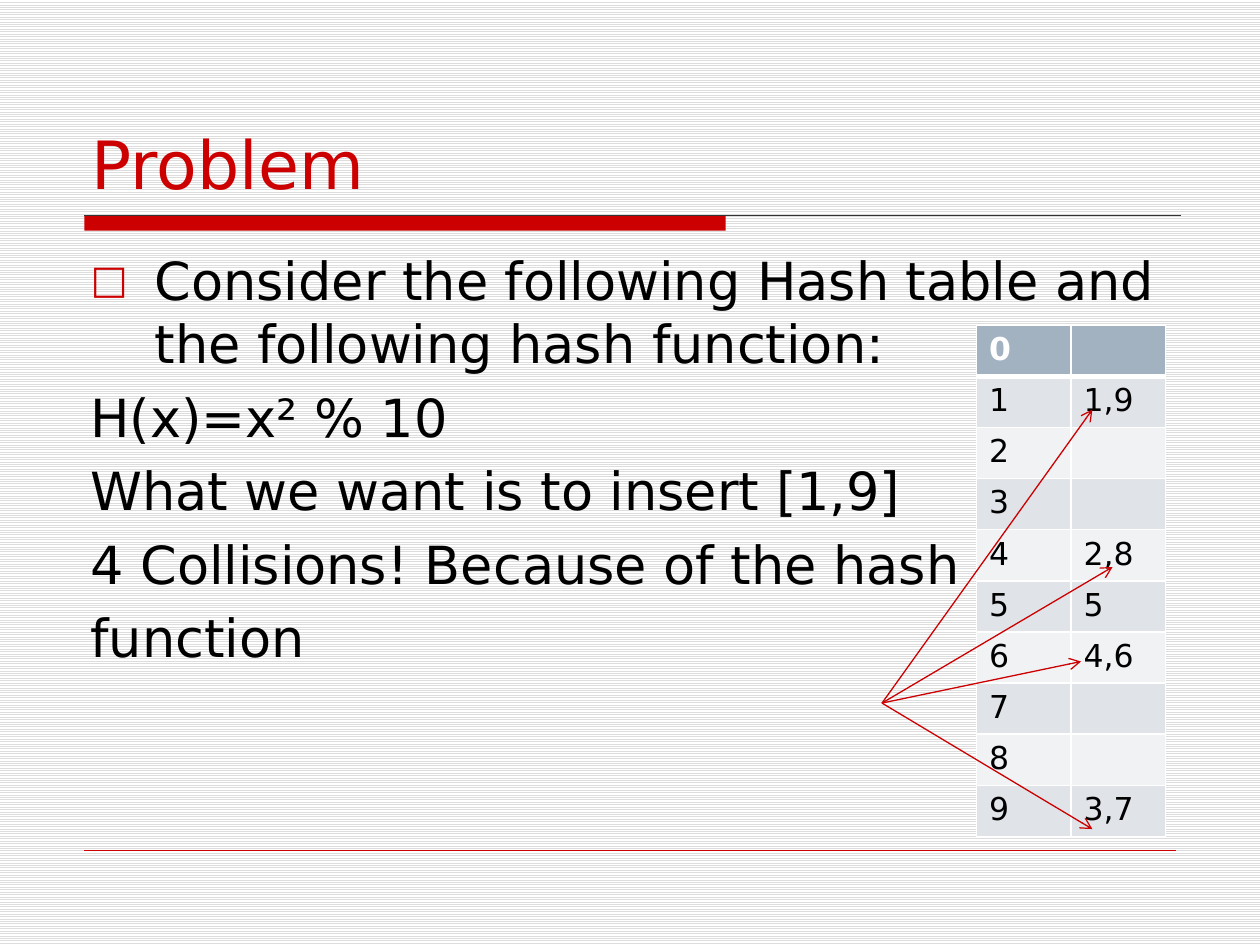
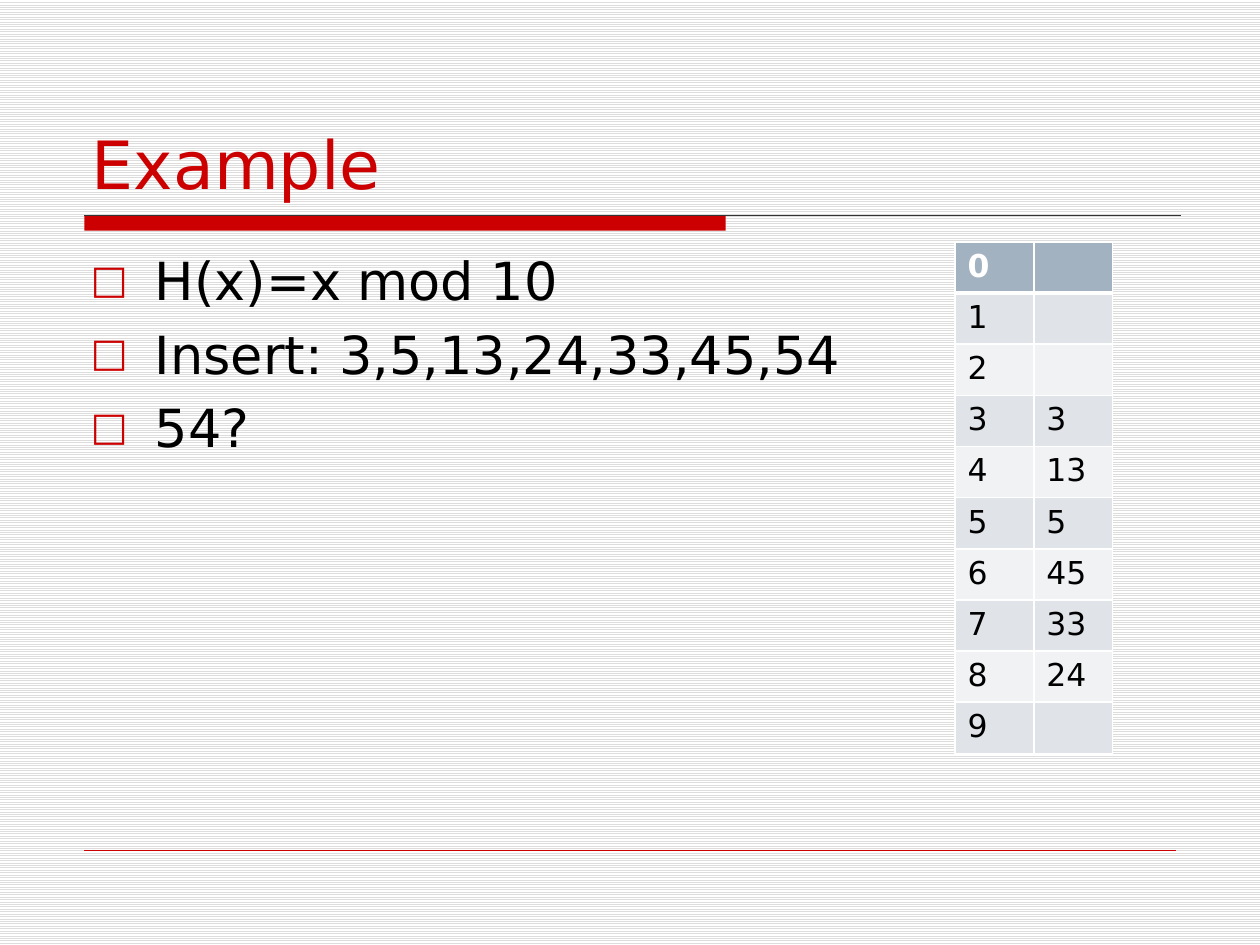
from dataclasses import dataclass

from lxml import etree
from pptx import Presentation
from pptx.dml.color import RGBColor
from pptx.enum.dml import MSO_PATTERN
from pptx.enum.shapes import MSO_CONNECTOR, MSO_SHAPE
from pptx.enum.text import MSO_ANCHOR, MSO_AUTO_SIZE, PP_ALIGN
from pptx.oxml.ns import qn
from pptx.util import Inches, Pt

LEFT, BOTTOM = PP_ALIGN.LEFT, MSO_ANCHOR.BOTTOM
NO_FIT = MSO_AUTO_SIZE.NONE
RECT, STRAIGHT = MSO_SHAPE.RECTANGLE, MSO_CONNECTOR.STRAIGHT
STRIPES = MSO_PATTERN.LIGHT_HORIZONTAL

FONT = "DejaVu Sans"
RED, DARK, BLACK, WHITE = "CC0000", "333333", "000000", "FFFFFF"
STRIPE, HEAD, ODD, EVEN = "DDDDDD", "A3B2C1", "E0E4E9", "F0F2F4"
ROW_H = 4.06 / 10
HANG = Inches(0.51)

Point = tuple[float, float]


@dataclass
class Item:
    text: str
    bullet: bool = True


@dataclass
class Buckets:
    """A hash table of ten slots; slots maps an index to its content."""
    left: float
    top: float
    width: float
    slots: dict[int, str]


@dataclass
class Page:
    title: str
    items: list[Item]
    table: Buckets
    start: Point = (0, 0)
    ends: tuple[Point, ...] = ()


PAGES = [
    Page(
        "Problem",
        [
            Item("Consider the following Hash table and the following hash function:"),
            Item("H(x)=x² % 10", False),
            Item("What we want is to insert [1,9]", False),
            Item("4 Collisions! Because of the hash", False),
            Item("function", False),
        ],
        Buckets(7.75, 2.58, 1.5, {1: "1,9", 4: "2,8", 5: "5", 6: "4,6", 9: "3,7"}),
        (7, 5.58),
        ((8.58, 5.25), (8.67, 3.25), (8.67, 6.58), (8.83, 4.5)),
    ),
    Page(
        "Example",
        [
            Item("H(x)=x mod 10"),
            Item("Insert: 3,5,13,24,33,45,54"),
            Item("54?"),
        ],
        Buckets(7.58, 1.92, 1.25,
                {3: "3", 4: "13", 5: "5", 6: "45", 7: "33", 8: "24"}),
    ),
]


def rgb(code: str) -> RGBColor:
    return RGBColor.from_string(code)


def style(para, size: float, color: str, bold: bool = False) -> None:
    para.alignment = LEFT
    for run in para.runs:
        font = run.font
        font.name, font.size, font.bold = FONT, Pt(size), bold
        font.color.rgb = rgb(color)


def add_line(slide, start: Point, end: Point, color: str, width: float,
             arrow: bool = False) -> None:
    ends = [Inches(n) for n in (*start, *end)]
    line = slide.shapes.add_connector(STRAIGHT, *ends)
    line.line.color.rgb = rgb(color)
    line.line.width = Pt(width)
    props = line._element.spPr
    etree.SubElement(props, qn("a:effectLst"))
    if arrow:
        etree.SubElement(props.find(qn("a:ln")), qn("a:tailEnd"), type="arrow")


def add_frame(slide) -> None:
    """Draw the title band and the rules that every slide has."""
    band = slide.shapes.add_shape(
        RECT, Inches(0.67), Inches(1.71), Inches(5.09), Inches(0.12))
    band.shadow.inherit = False
    band.fill.solid()
    band.fill.fore_color.rgb = rgb(RED)
    band.line.fill.background()
    add_line(slide, (0.67, 1.71), (9.37, 1.71), DARK, 0.75)
    add_line(slide, (0.67, 6.75), (9.33, 6.75), RED, 0.25)


def set_title(slide, text: str) -> None:
    title = slide.shapes.title
    title.left, title.top = Inches(0.63), Inches(0.33)
    title.width, title.height = Inches(8.75), Inches(1.33)
    frame = title.text_frame
    frame.text = text
    frame.word_wrap = True
    frame.auto_size = NO_FIT
    frame.vertical_anchor = BOTTOM
    style(frame.paragraphs[0], 38, RED)


def set_bullet(para, shown: bool) -> None:
    """Hang the paragraph and give it a red box if shown."""
    props = para._p.get_or_add_pPr()
    props.set("marL", str(HANG))
    props.set("indent", str(-HANG))
    if not shown:
        etree.SubElement(props, qn("a:buNone"))
        return
    color = etree.SubElement(props, qn("a:buClr"))
    etree.SubElement(color, qn("a:srgbClr"), val=RED)
    etree.SubElement(props, qn("a:buSzPct"), val="75000")
    etree.SubElement(props, qn("a:buFont"), typeface=FONT)
    etree.SubElement(props, qn("a:buChar"), char="□")


def add_body(slide, items: list[Item]) -> None:
    box = slide.shapes.add_textbox(
        Inches(0.62), Inches(1.92), Inches(8.75), Inches(4.67))
    frame = box.text_frame
    frame.word_wrap = True
    frame.text = "\n".join(item.text for item in items)
    for para, item in zip(frame.paragraphs, items):
        para.space_before = Pt(6)
        style(para, 30, BLACK)
        set_bullet(para, item.bullet)


def set_edges(cell, top: float, bottom: float) -> None:
    props = cell._tc.get_or_add_tcPr()
    for side, width in (("L", 1), ("R", 1), ("T", top), ("B", bottom)):
        edge = etree.SubElement(props, qn(f"a:ln{side}"), w=str(Pt(width)))
        fill = etree.SubElement(edge, qn("a:solidFill"))
        etree.SubElement(fill, qn("a:srgbClr"), val=WHITE)


def add_buckets(slide, spec: Buckets) -> None:
    table = slide.shapes.add_table(
        10, 2, Inches(spec.left), Inches(spec.top),
        Inches(spec.width), Inches(10 * ROW_H)).table
    for index, row in enumerate(table.rows):
        row.height = Inches(ROW_H)
        head = index == 0
        shade = HEAD if head else ODD if index % 2 else EVEN
        for cell, text in zip(row.cells, (str(index), spec.slots.get(index, ""))):
            cell.text_frame.text = text
            style(cell.text_frame.paragraphs[0], 18, WHITE if head else BLACK, head)
            set_edges(cell, 3 if index == 1 else 1, 3 if head else 1)
            cell.fill.solid()
            cell.fill.fore_color.rgb = rgb(shade)


def set_stripes(master) -> None:
    fill = master.background.fill
    fill.patterned()
    fill.pattern = STRIPES
    fill.fore_color.rgb = rgb(STRIPE)
    fill.back_color.rgb = rgb(WHITE)


def main() -> None:
    deck = Presentation()
    deck.slide_width, deck.slide_height = Inches(10), Inches(7.5)
    set_stripes(deck.slide_master)
    for page in PAGES:
        slide = deck.slides.add_slide(deck.slide_layouts[5])
        add_frame(slide)
        set_title(slide, page.title)
        add_body(slide, page.items)
        add_buckets(slide, page.table)
        for end in page.ends:
            add_line(slide, page.start, end, RED, 0.75, arrow=True)
    deck.save("out.pptx")


if __name__ == "__main__":
    main()
